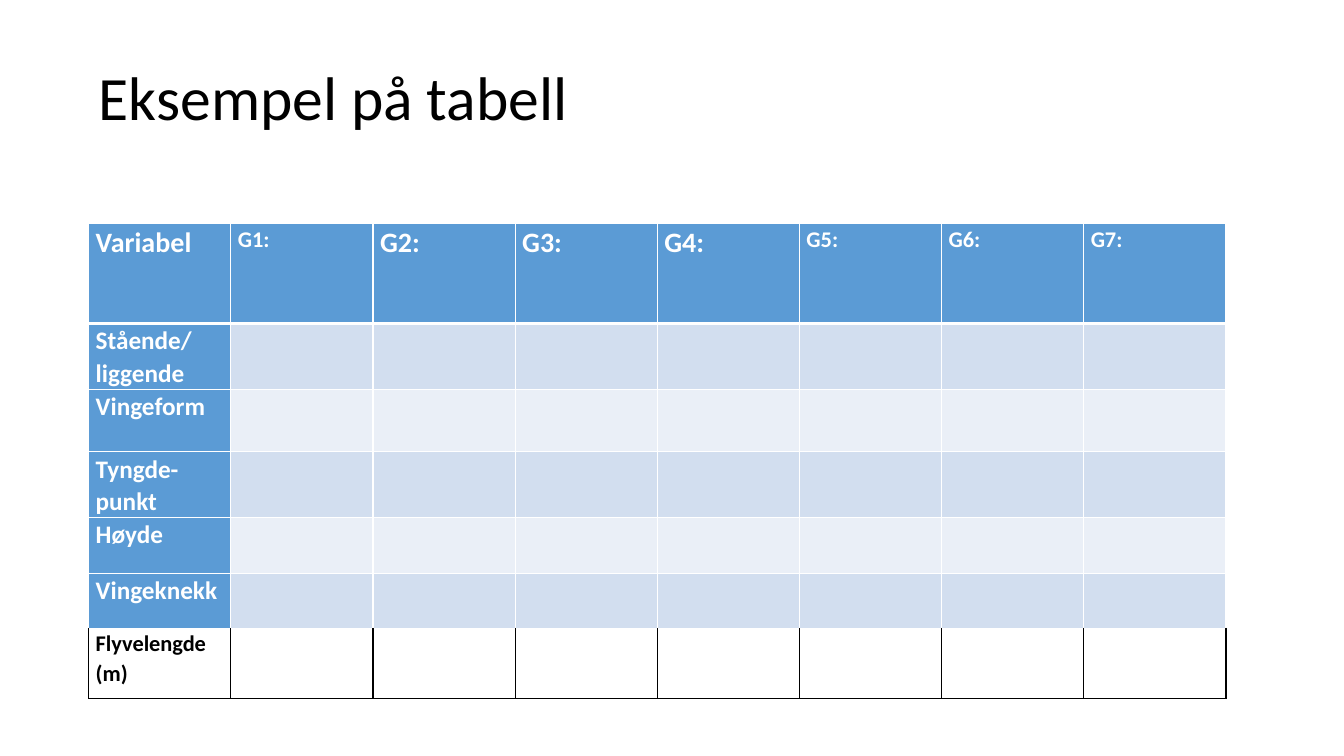
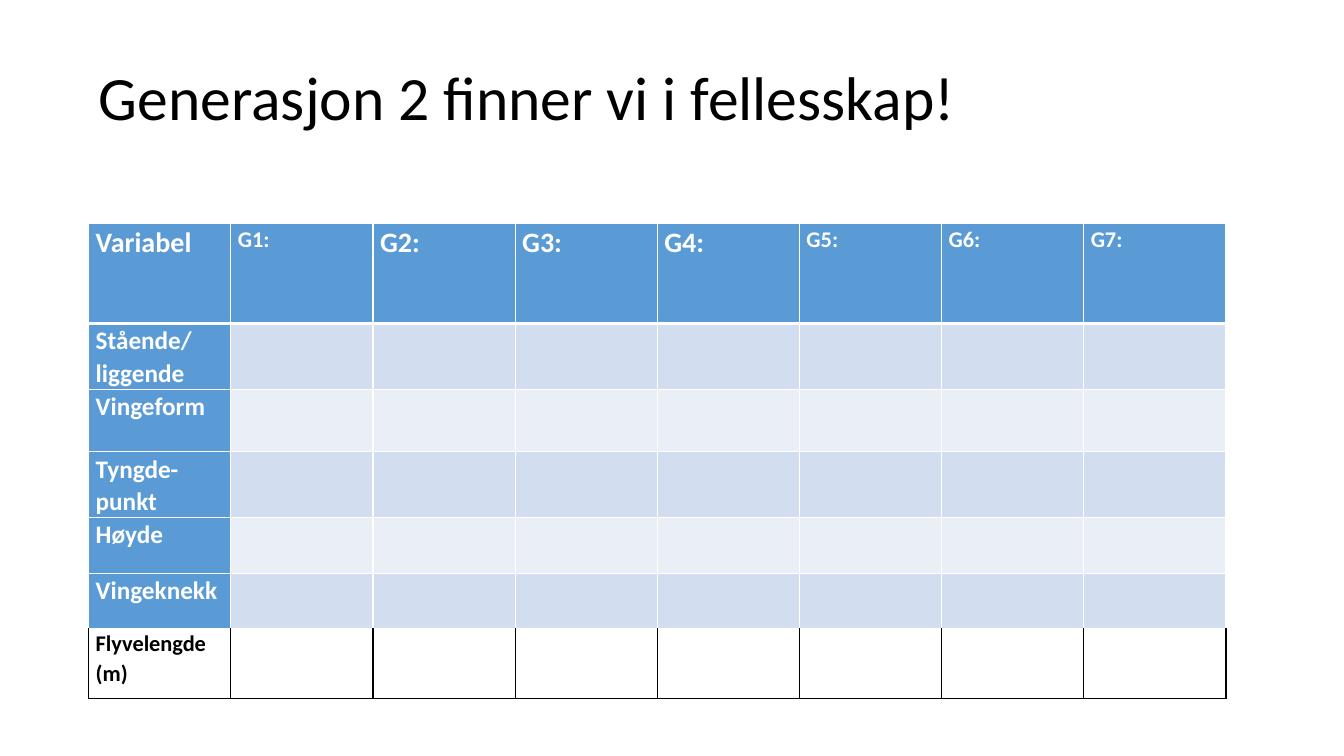
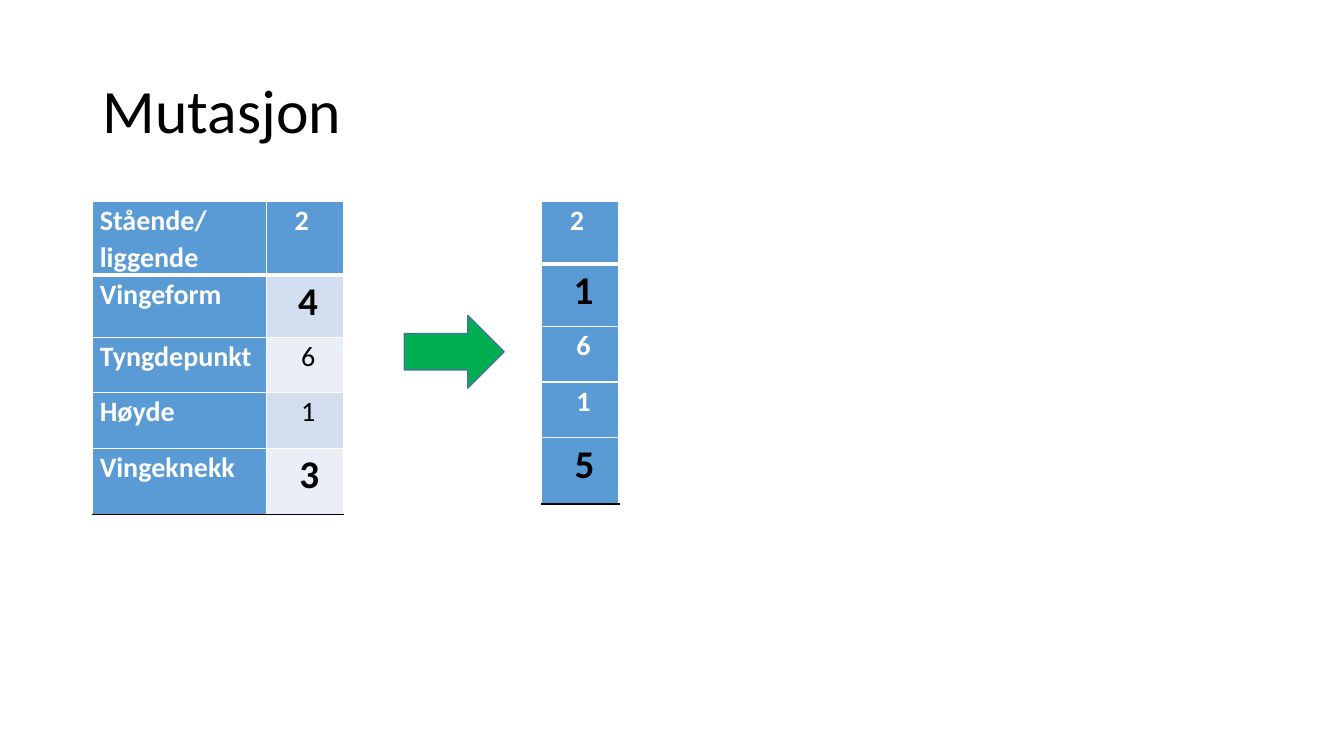
from dataclasses import dataclass

from lxml.etree import SubElement
from pptx import Presentation
from pptx.dml.color import RGBColor as Color
from pptx.enum.shapes import MSO_SHAPE as Shape
from pptx.enum.text import MSO_ANCHOR as Anchor, PP_ALIGN as Align
from pptx.oxml import parse_xml
from pptx.oxml.ns import nsdecls, qn
from pptx.util import Pt

PX = 9144


@dataclass(frozen=True)
class Theme:
    font: str = "Calibri"
    black: str = "000000"
    white: str = "FFFFFF"
    blue: str = "5B9BD5"
    bands: tuple = ("EAEFF7", "D2DEEF")
    green: str = "00B050"
    outline: str = "43739E"
    title: int = 44
    mutated: int = 28
    large: int = 20
    label: int = 18
    small: int = 16


theme = Theme()


def add_run(paragraph, text, size, color, bold):
    run = paragraph.add_run()
    run.text = text
    run.font.name = theme.font
    run.font.size = Pt(size)
    run.font.bold = bold
    run.font.color.rgb = Color.from_string(color)


def add_grid(slide, left, top, widths, heights, rows):
    frame = slide.shapes.add_table(
        len(heights), len(widths), left * PX, top * PX, sum(widths) * PX, sum(heights) * PX)
    table = frame.table
    table.horz_banding = False
    for column, width in zip(table.columns, widths):
        column.width = width * PX
    for row, height in zip(table.rows, heights):
        row.height = height * PX
    last = len(rows) - 1
    for row_index, cells in enumerate(rows):
        for column_index, (runs, fill, align) in enumerate(cells):
            cell = table.cell(row_index, column_index)
            cell.margin_left = cell.margin_right = 7 * PX
            cell.margin_top = cell.margin_bottom = 0
            paragraph = cell.text_frame.paragraphs[0]
            paragraph.alignment = align
            paragraph.line_spacing = 1.07
            for run in runs:
                add_run(paragraph, *run)
            if fill:
                cell.fill.solid()
                cell.fill.fore_color.rgb = Color.from_string(fill)
            else:
                cell.fill.background()
            side = theme.white if fill else theme.black
            borders = [
                ("lnL", side, 1),
                ("lnR", side, 1),
                ("lnT", theme.white, 3 if row_index == 1 else 1),
                ("lnB", theme.black if row_index == last else theme.white, 3 if row_index == 0 else 1),
            ]
            properties = cell._tc.get_or_add_tcPr()
            for position, (tag, color, width) in enumerate(borders):
                line = parse_xml(f'<a:{tag} {nsdecls("a")} w="{Pt(width)}"/>')
                solid = SubElement(line, qn("a:solidFill"))
                SubElement(solid, qn("a:srgbClr"), val=color)
                properties.insert(position, line)


presentation = Presentation()
presentation.slide_width = 1333 * PX
presentation.slide_height = 750 * PX

titles = [
    ("Eksempel på tabell", 88, 27),
    ("Generasjon 2 finner vi i fellesskap!", 88, 27),
    ("Mutasjon", 92, 40),
]
slides = []
for text, left, top in titles:
    slide = presentation.slides.add_slide(presentation.slide_layouts[5])
    title = slide.shapes.title
    title.left, title.top = left * PX, top * PX
    title.width, title.height = 1150 * PX, 145 * PX
    title.text_frame.vertical_anchor = Anchor.MIDDLE
    paragraph = title.text_frame.paragraphs[0]
    paragraph.alignment = Align.LEFT
    paragraph.line_spacing = 0.9
    add_run(paragraph, text, theme.title, theme.black, False)
    slides.append(slide)

headings = [("Variabel", theme.large)]
for group in range(1, 8):
    headings.append((f"G{group}:", theme.large if group in (2, 3, 4) else theme.small))
generation_rows = [
    [([(text, size, theme.white, True)], theme.blue, Align.LEFT) for text, size in headings]
]
variables = ["Stående/ liggende", "Vingeform", "Tyngde-punkt", "Høyde", "Vingeknekk"]
for index, variable in enumerate(variables, 1):
    label = ([(variable, theme.label, theme.white, True)], theme.blue, Align.LEFT)
    generation_rows.append([label] + [([], theme.bands[index % 2], Align.LEFT)] * 7)
length_label = ([("Flyvelengde (m)", theme.small, theme.black, True)], None, Align.LEFT)
generation_rows.append([length_label] + [([], None, Align.LEFT)] * 7)

for slide in slides[:2]:
    add_grid(slide, 88, 222, [141] * 8, [99, 62, 62, 62, 55, 55, 69], generation_rows)

genes = [
    ("Stående/liggende", [("2 ", False)], [("2 ", False)]),
    ("Vingeform", [(" ", False), ("4", True)], [(" ", False), ("1", True)]),
    ("Tyngdepunkt", [(" 6", False)], [(" 6", False)]),
    ("Høyde", [(" 1", False)], [(" 1", False)]),
    ("Vingeknekk", [(" 3", True)], [(" 5", True)]),
]
parent_rows, mutant_rows = [], []
for index, (name, parent, mutant) in enumerate(genes):
    plain_color = theme.black if index else theme.white
    parent_runs = [
        (text, theme.mutated, theme.black, True) if mutated
        else (text, theme.large, plain_color, index == 0)
        for text, mutated in parent
    ]
    mutant_runs = [
        (text, theme.mutated, theme.black, True) if mutated
        else (text, theme.large, theme.white, True)
        for text, mutated in mutant
    ]
    parent_rows.append([
        ([(name, theme.large, theme.white, True)], theme.blue, Align.LEFT),
        (parent_runs, theme.bands[index % 2] if index else theme.blue, Align.CENTER),
    ])
    mutant_rows.append([(mutant_runs, theme.blue, Align.CENTER)])

mutation_slide = slides[2]
gene_heights = [62, 62, 55, 55, 66]
add_grid(mutation_slide, 92, 200, [172, 77], gene_heights, parent_rows)

arrow = mutation_slide.shapes.add_shape(Shape.RIGHT_ARROW, 401 * PX, 313 * PX, 99 * PX, 72 * PX)
arrow.shadow.inherit = False
arrow.fill.solid()
arrow.fill.fore_color.rgb = Color.from_string(theme.green)
arrow.line.color.rgb = Color.from_string(theme.outline)
arrow.line.width = Pt(1)

add_grid(mutation_slide, 537, 200, [77], gene_heights, mutant_rows)

presentation.save("out.pptx")
